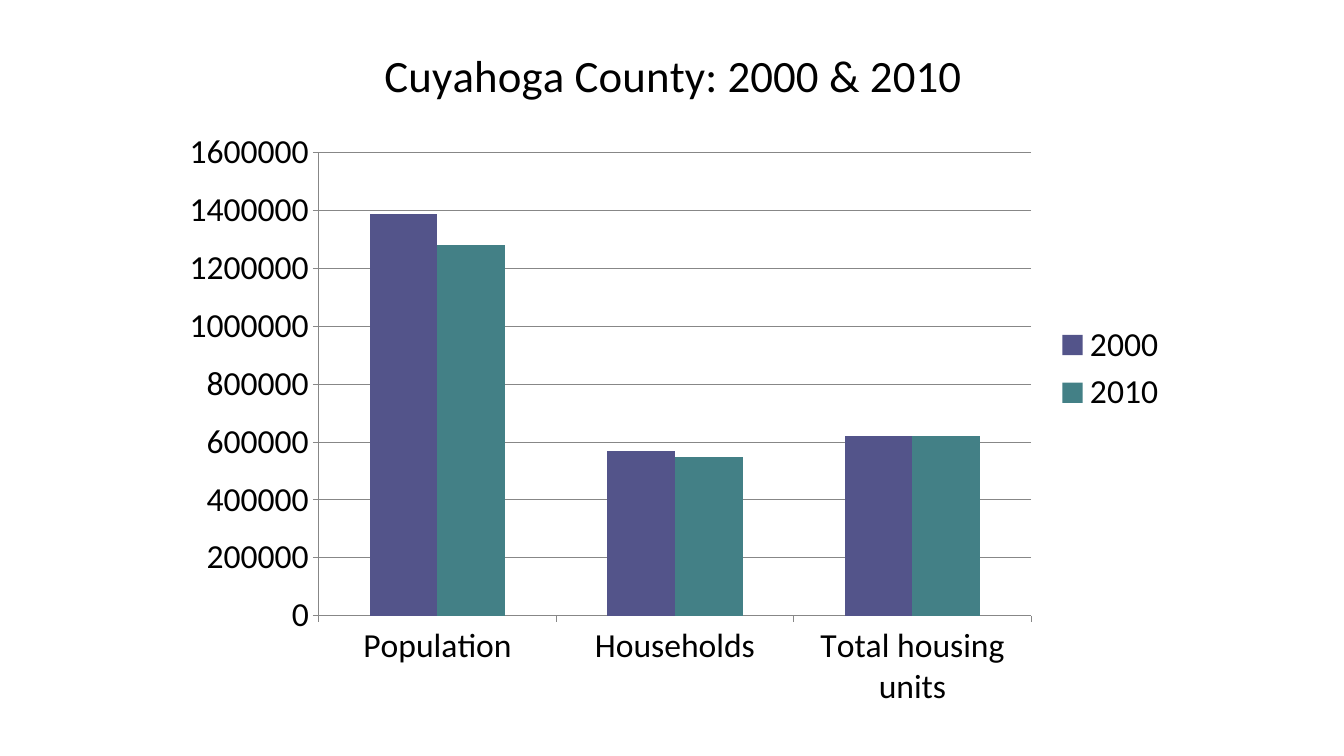
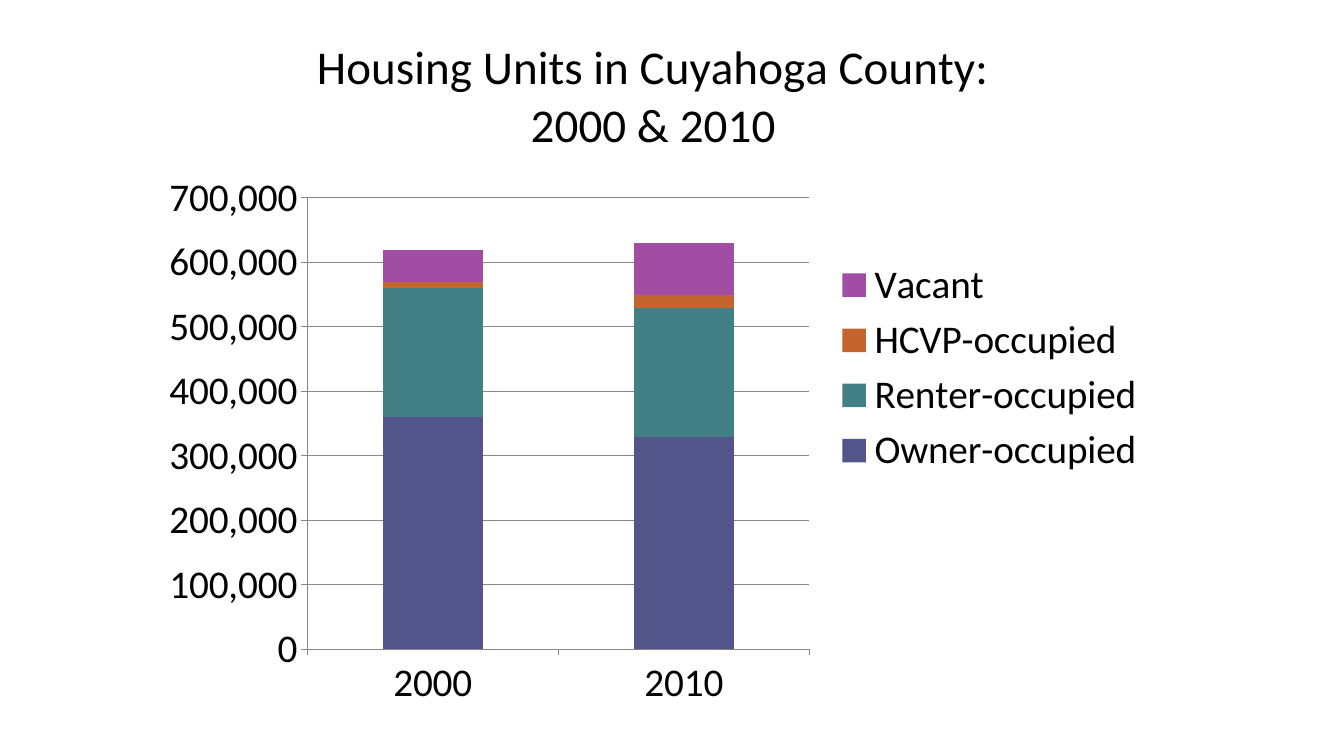
from pptx import Presentation
from pptx import util as u
from pptx.chart.data import CategoryChartData
from pptx.dml.color import RGBColor
from pptx.enum import chart as charts

FONT = "Calibri"
INK = "000000"
RULE = "878787"
PALETTE = ["53548A", "438086", "C4652D", "A04DA3"]


def colour(hex_text):
    """Turn a hex string into a colour."""
    return RGBColor.from_string(hex_text)


def style_font(font, size):
    """Apply the shared text style at the given size."""
    font.name = FONT
    font.size = u.Pt(size)
    font.bold = False
    font.color.rgb = colour(INK)


def style_rule(line):
    """Draw an axis or grid line in the shared thin grey."""
    line.color.rgb = colour(RULE)
    line.width = u.Pt(0.75)


def add_title(chart, title, size):
    """Put the title above the plot."""
    chart.has_title = True
    frame = chart.chart_title.text_frame
    frame.text = title
    for paragraph in frame.paragraphs:
        for run in paragraph.runs:
            style_font(run.font, size)


def style_axes(chart, number_format):
    """Give both axes outside ticks and grey lines, with a horizontal grid."""
    for axis in (chart.category_axis, chart.value_axis):
        axis.major_tick_mark = charts.XL_TICK_MARK.OUTSIDE
        axis.minor_tick_mark = charts.XL_TICK_MARK.NONE
        style_rule(axis.format.line)
    values = chart.value_axis
    values.has_major_gridlines = True
    style_rule(values.major_gridlines.format.line)
    values.tick_labels.number_format = number_format
    values.tick_labels.number_format_is_linked = False


def add_column_slide(deck, box, kind, title, title_size, text_size,
                     number_format, categories, counts):
    """Add a slide holding one titled column chart in the given box."""
    slide = deck.slides.add_slide(deck.slide_layouts[6])
    data = CategoryChartData(number_format=number_format)
    data.categories = categories
    for name, values in counts.items():
        data.add_series(name, values)
    chart = slide.shapes.add_chart(kind, *map(u.Inches, box), data).chart
    style_font(chart.font, text_size)
    add_title(chart, title, title_size)
    style_axes(chart, number_format)
    chart.has_legend = True
    chart.legend.position = charts.XL_LEGEND_POSITION.RIGHT
    chart.legend.include_in_layout = False
    plot = chart.plots[0]
    plot.gap_width = 150
    plot.vary_by_categories = False
    for series, fill in zip(plot.series, PALETTE):
        series.format.fill.solid()
        series.format.fill.fore_color.rgb = colour(fill)


def main():
    """Build and save the deck."""
    deck = Presentation()
    deck.slide_width, deck.slide_height = u.Inches(13.33), u.Inches(7.5)
    add_column_slide(
        deck, (1.68, 0.16, 10, 7), charts.XL_CHART_TYPE.COLUMN_CLUSTERED,
        "Cuyahoga County: 2000 & 2010", 32, 24, "General",
        ["Population", "Households", "Total housing units"],
        {"2000": [1390000, 570000, 620000],
         "2010": [1280000, 550000, 620000]})
    add_column_slide(
        deck, (1.48, 0.15, 10, 7), charts.XL_CHART_TYPE.COLUMN_STACKED,
        "Housing Units in Cuyahoga County:\n2000 & 2010", 33.6, 28, "#,##0",
        ["2000", "2010"],
        {"Owner-occupied": [360000, 330000],
         "Renter-occupied": [200000, 200000],
         "HCVP-occupied": [10000, 20000],
         "Vacant": [50000, 80000]})
    deck.save("out.pptx")


if __name__ == "__main__":
    main()
